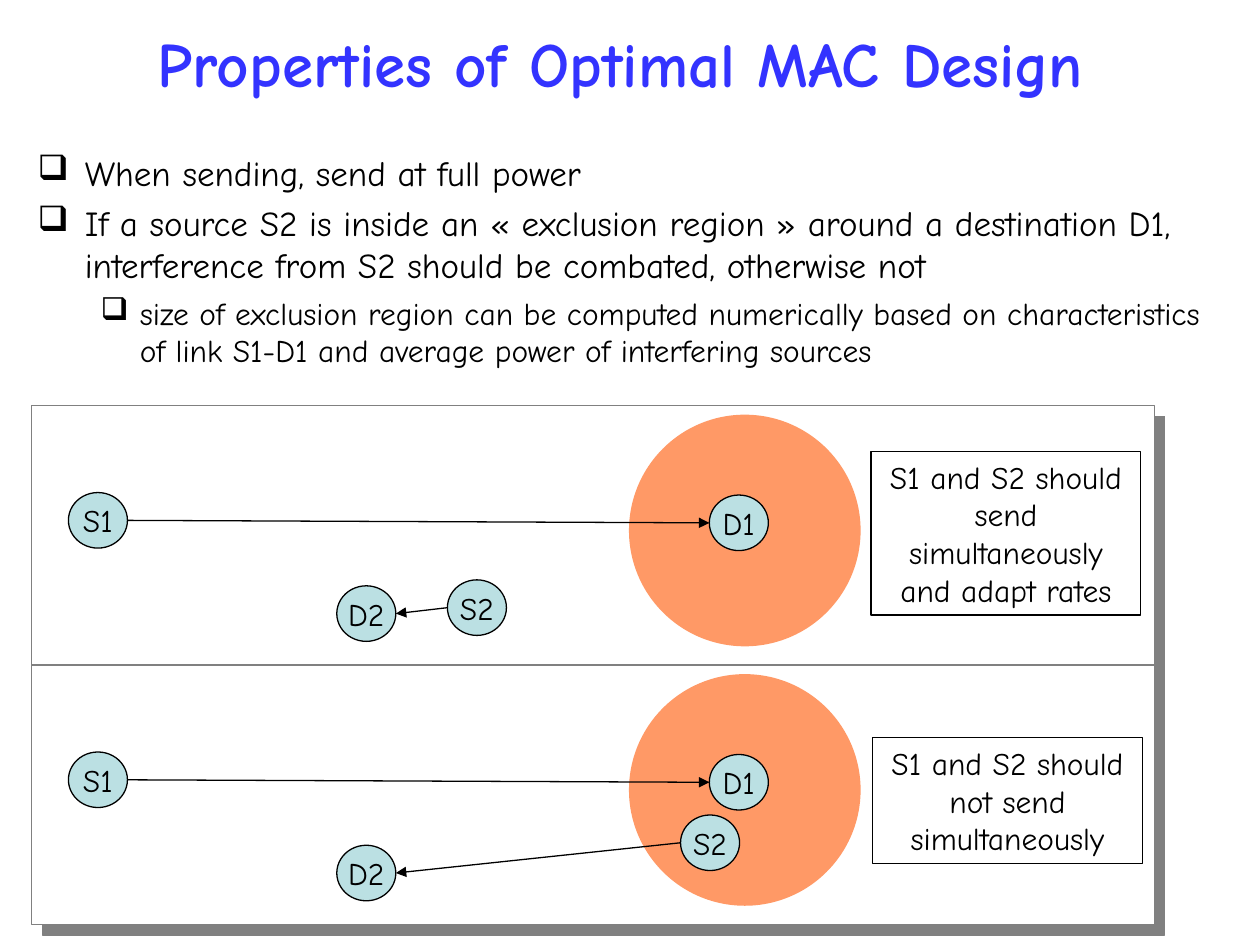
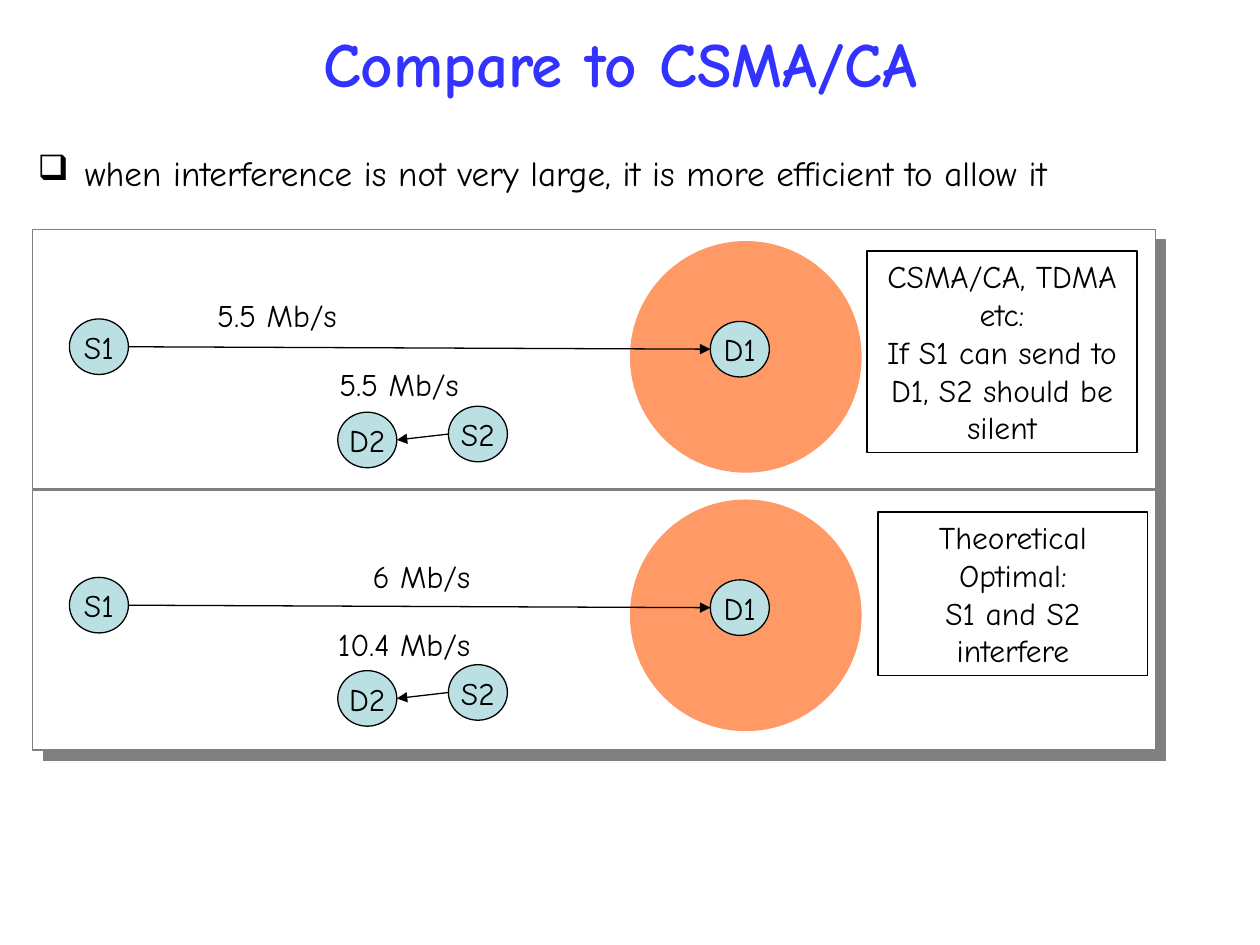
from lxml import etree
from pptx import Presentation
from pptx import util as u
from pptx.dml.color import RGBColor
from pptx.enum import shapes, text
from pptx.oxml import ns

FONT = "Comic Neue"
BLACK, TITLE_BLUE, FRAME_GREY = "000000", "3333FF", "808080"
NODE_BLUE, ZONE_ORANGE, WHITE = "BBE0E3", "FF9966", "FFFFFF"
PANEL_W, PANEL_H = 22.63, 5.23
NODE_W, NODE_H = 1.19, 1.12
ZONE_X, ZONE_Y, ZONE_SIZE = 12.04, 0.18, 4.67
NOTE_W, RATE_H = 5.44, 1.02
S2_OUTSIDE, S2_INSIDE = (8.38, 3.51), (13.08, 3.02)
BULLETS = [(20, 0.95, 0.95), (18, 2.06, 0.79)]


def color(hex_code):
    """Turn a hex string into a colour."""
    return RGBColor.from_string(hex_code)


def add_xml(parent, tag, **attributes):
    """Append a drawing element to a parent and return it."""
    return etree.SubElement(parent, ns.qn(tag), attributes)


def write(frame, content, size=18, align=text.PP_ALIGN.CENTER, hue=BLACK, bold=False,
          anchor=text.MSO_ANCHOR.TOP, wrap=True):
    """Fill a text frame with one paragraph per line of content."""
    frame.word_wrap = wrap
    frame.vertical_anchor = anchor
    for number, line in enumerate(content.split("\n")):
        paragraph = frame.add_paragraph() if number else frame.paragraphs[0]
        paragraph.alignment = align
        style(paragraph, line, size, hue, bold)


def style(paragraph, line, size, hue=BLACK, bold=False):
    """Add a run of formatted text to a paragraph."""
    run = paragraph.add_run()
    run.text = line
    run.font.name, run.font.size, run.font.bold = FONT, u.Pt(size), bold
    run.font.color.rgb = color(hue)


def textbox(slide, x, y, w, h):
    """Add an empty text box and return its frame."""
    return slide.shapes.add_textbox(u.Cm(x), u.Cm(y), u.Cm(w), u.Cm(h)).text_frame


def shape(slide, kind, x, y, w, h, fill=None, line=None):
    """Add a flat preset shape with optional fill and outline."""
    item = slide.shapes.add_shape(kind, u.Cm(x), u.Cm(y), u.Cm(w), u.Cm(h))
    item.shadow.inherit = False
    if fill:
        item.fill.solid()
        item.fill.fore_color.rgb = color(fill)
    else:
        item.fill.background()
    if line:
        item.line.color.rgb = color(line)
        item.line.width = u.Pt(0.75)
    else:
        item.line.fill.background()
    return item


def arrow(slide, start, end):
    """Draw a thin black line with a triangle at its end."""
    link = slide.shapes.add_connector(shapes.MSO_CONNECTOR.STRAIGHT,
                                      *(u.Cm(value) for value in (*start, *end)))
    link.line.color.rgb = color(BLACK)
    link.line.width = u.Pt(0.75)
    properties = link._element.spPr
    add_xml(properties.find(ns.qn("a:ln")), "a:tailEnd", type="triangle")
    add_xml(properties, "a:effectLst")


def heading(slide, title):
    """Write the slide title."""
    write(textbox(slide, 0.3, 0, 24.41, 2.51), title, size=36, hue=TITLE_BLUE, bold=True,
          anchor=text.MSO_ANCHOR.MIDDLE)


def bullet_list(slide, points, height):
    """Write bulleted points, each given as level and wording."""
    frame = textbox(slide, 0.51, 2.92, 24.61, height)
    frame.word_wrap = True
    for number, (level, wording) in enumerate(points):
        paragraph = frame.add_paragraph() if number else frame.paragraphs[0]
        size, margin, hanging = BULLETS[level]
        paragraph.level = level
        properties = paragraph._p.get_or_add_pPr()
        properties.set("marL", str(u.Cm(margin)))
        properties.set("indent", str(u.Cm(-hanging)))
        add_xml(add_xml(properties, "a:buClr"), "a:srgbClr", val=BLACK)
        add_xml(properties, "a:buChar", char="❑")
        if number:
            paragraph.space_before = u.Pt(size / 4)
        style(paragraph, wording, size)


def backdrop(slide, x, y):
    """Draw the white panel with its hard grey shadow."""
    panel = shape(slide, shapes.MSO_SHAPE.RECTANGLE, x, y, PANEL_W, PANEL_H, WHITE, FRAME_GREY)
    effects = panel._element.spPr.find(ns.qn("a:effectLst"))
    shadow = add_xml(effects, "a:outerShdw", dist=str(u.Pt(8.5)), dir="2700000",
                     algn="ctr", rotWithShape="0")
    add_xml(shadow, "a:srgbClr", val=FRAME_GREY)


def scenario(slide, x, y, note, note_box, s2=S2_OUTSIDE, rates=(), drop=0):
    """Draw one network panel: exclusion zone, nodes, links, rates and note."""
    backdrop(slide, x, y)
    top = y + drop
    oval = shapes.MSO_SHAPE.OVAL
    shape(slide, oval, x + ZONE_X, top + ZONE_Y, ZONE_SIZE, ZONE_SIZE, ZONE_ORANGE)
    nodes = {"D2": (6.15, 3.63), "S1": (0.74, 1.75), "D1": (13.66, 1.8), "S2": s2}
    for label, (left, down) in nodes.items():
        node = shape(slide, oval, x + left, top + down, NODE_W, NODE_H, NODE_BLUE, BLACK)
        write(node.text_frame, label, anchor=text.MSO_ANCHOR.MIDDLE, wrap=False)

    def side(label, across):
        """Locate a point at mid-height of a node."""
        left, down = nodes[label]
        return x + left + across, top + down + NODE_H / 2

    arrow(slide, side("S1", NODE_W), side("D1", 0))
    arrow(slide, side("S2", 0), side("D2", NODE_W))
    left, down, height = note_box
    note_frame = shape(slide, shapes.MSO_SHAPE.RECTANGLE, x + left, y + down, NOTE_W, height,
                       line=BLACK).text_frame
    write(note_frame, note)
    for rate, left, down, width in rates:
        write(textbox(slide, x + left, y + down, width, RATE_H), rate,
              align=text.PP_ALIGN.RIGHT, wrap=False)


def optimal_design(slide):
    """Build the slide on properties of the optimal design."""
    heading(slide, "Properties of Optimal MAC Design")
    bullet_list(slide, [
        (0, "When sending, send at full power"),
        (0, "If a source S2 is inside an « exclusion region » around a destination D1, "
            "interference from S2 should be combated, otherwise not"),
        (1, "size of exclusion region can be computed numerically based on characteristics "
            "of link S1-D1 and average power of interfering sources"),
    ], 4.93)
    x, y = 0.64, 8.18
    scenario(slide, x, y, "S1 and S2 should send simultaneously and adapt rates",
             (16.92, 0.92, 3.3))
    scenario(slide, x, y + PANEL_H, "S1 and S2 should not send simultaneously",
             (16.95, 1.46, 2.54), s2=S2_INSIDE)


def csma_comparison(slide):
    """Build the slide comparing with CSMA/CA."""
    heading(slide, "Compare to CSMA/CA")
    bullet_list(slide, [
        (0, "when interference is not very large, it is more efficient to allow it"),
    ], 2.41)
    x, y = 0.66, 4.63
    scenario(slide, x, y,
             "CSMA/CA, TDMA etc:\nIf S1 can send to D1, S2 should be silent",
             (16.82, 0.43, 4.06), drop=0.05,
             rates=[("5.5 Mb/s", 3.38, 1.22, 3), ("5.5 Mb/s", 5.84, 2.6, 3)])
    scenario(slide, x, y + PANEL_H + 0.03, "Theoretical Optimal:\nS1 and S2 interfere",
             (17.04, 0.43, 3.3),
             rates=[("6 Mb/s", 6.27, 1.22, 2.8), ("10.4 Mb/s", 5.77, 2.58, 3.3)])


def main():
    """Build and save the presentation."""
    deck = Presentation()
    deck.slide_width, deck.slide_height = u.Cm(25.4), u.Cm(19.05)
    for build in (optimal_design, csma_comparison):
        build(deck.slides.add_slide(deck.slide_layouts[6]))
    deck.save("out.pptx")


if __name__ == "__main__":
    main()
